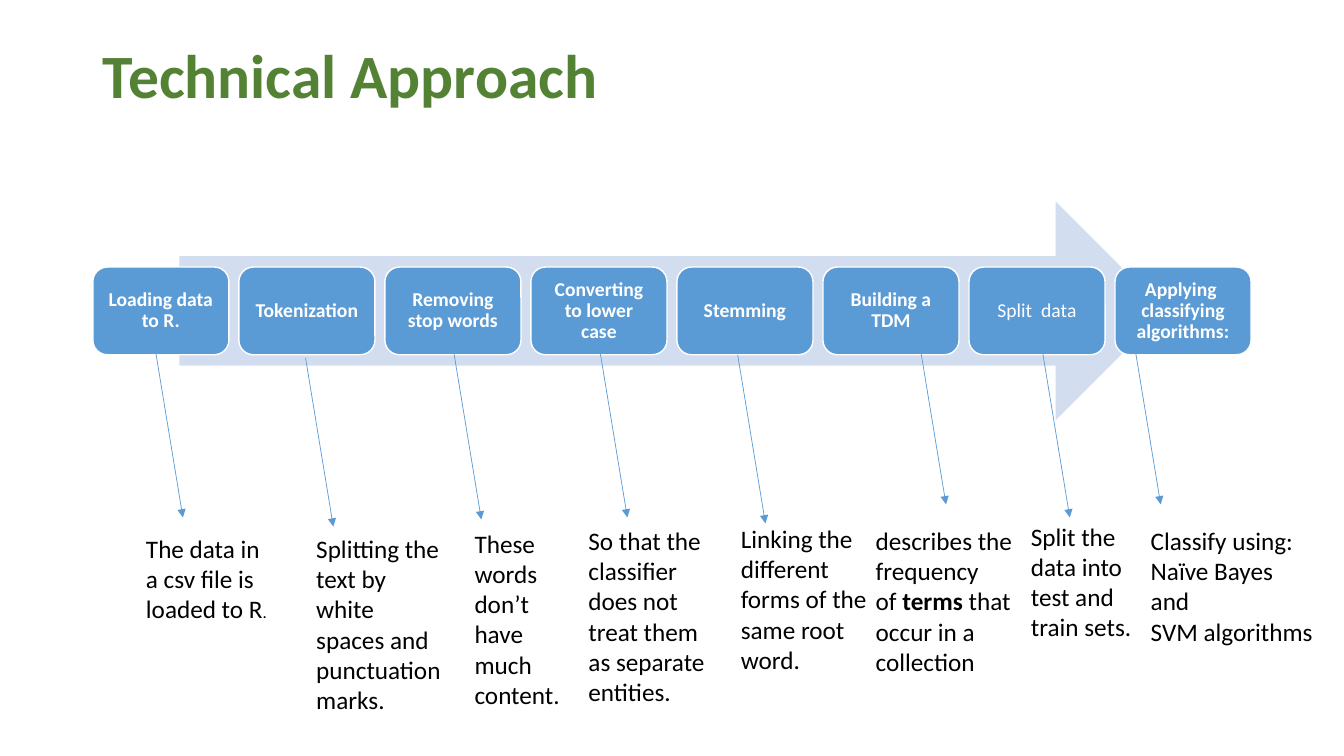
"""Build the Technical Approach slide: a text-classification pipeline with a note per step."""
from dataclasses import dataclass

from lxml import etree
from pptx import Presentation
from pptx.dml.color import RGBColor
from pptx.enum.shapes import MSO_CONNECTOR, MSO_SHAPE
from pptx.enum.text import MSO_ANCHOR, MSO_AUTO_SIZE, PP_ALIGN
from pptx.oxml.ns import qn
from pptx.slide import Slide
from pptx.util import Cm, Pt

ROUNDED = MSO_SHAPE.ROUNDED_RECTANGLE
RIGHT_ARROW = MSO_SHAPE.RIGHT_ARROW
STRAIGHT = MSO_CONNECTOR.STRAIGHT
TOP, MIDDLE = MSO_ANCHOR.TOP, MSO_ANCHOR.MIDDLE
LEFT, CENTER = PP_ALIGN.LEFT, PP_ALIGN.CENTER
FIXED, GROW = MSO_AUTO_SIZE.NONE, MSO_AUTO_SIZE.SHAPE_TO_FIT_TEXT


@dataclass(frozen=True)
class Theme:
    font: str = "Calibri"
    title: RGBColor = RGBColor(0x54, 0x82, 0x35)
    step: RGBColor = RGBColor(0x5B, 0x9B, 0xD5)
    band: RGBColor = RGBColor(0xD2, 0xDE, 0xEF)
    light: RGBColor = RGBColor(0xFF, 0xFF, 0xFF)
    note: RGBColor = RGBColor(0, 0, 0)
    title_size: Pt = Pt(44)
    step_size: Pt = Pt(14)
    note_size: Pt = Pt(18)
    small_size: Pt = Pt(12)


@dataclass(frozen=True)
class Span:
    text: str
    bold: bool = False
    small: bool = False


@dataclass(frozen=True)
class Note:
    left: float
    top: float
    width: float
    lines: int
    paragraphs: tuple[tuple[Span, ...], ...]


@dataclass(frozen=True)
class Step:
    label: str
    pointer_x: float
    pointer_y: float
    note: Note
    bold: bool = True


THEME = Theme()
STEP_LEFT, STEP_TOP, STEP_PITCH = 2.34, 6.73, 3.68
STEP_WIDTH, STEP_HEIGHT, STEP_INSET = 3.43, 2.21, 0.25
POINTER_DX, POINTER_DY = 0.7, 4.25
NOTE_LINE, NOTE_PADDING = 0.77, 0.26

STEPS = (
    Step("Loading data to R.", 3.91, 8.79, Note(3.43, 13.31, 3.71, 3, (
        (Span("The data in a csv file is loaded to R"), Span(".", small=True)),))),
    Step("Tokenization", 7.7, 9.02, Note(7.72, 13.31, 3.68, 6, (
        (Span("Splitting the text by white spaces and punctuation marks."),),))),
    Step("Removing stop words", 11.43, 8.84, Note(11.71, 13.18, 3.1, 6, (
        (Span("These words don’t have much content."),),))),
    Step("Converting to lower case", 15.11, 8.79, Note(14.58, 13.11, 3.66, 6, (
        (Span("So that the classifier does not treat them as separate entities."),),))),
    Step("Stemming", 18.59, 8.94, Note(18.42, 13.06, 3.86, 5, (
        (Span("Linking the different forms of the same root word."),),))),
    Step("Building a TDM", 23.14, 8.46, Note(21.82, 13.11, 4.04, 5, (
        (Span("describes the frequency of\u00a0"), Span("terms", bold=True),
         Span("\u00a0that occur in a collection")),))),
    Step("Split  data", 26.26, 8.79, Note(25.73, 13.0, 3.68, 4, (
        (Span("Split the data into test and train sets."),),)), bold=False),
    Step("Applying  classifying algorithms:", 28.55, 8.46, Note(28.75, 13.11, 4.62, 4, (
        (Span("Classify using:"),),
        (Span("Naïve Bayes and"),),
        (Span("SVM algorithms"),)))),
)


def style_font(font, size: Pt, color: RGBColor, bold: bool = False) -> None:
    font.name, font.size, font.bold = THEME.font, size, bold
    font.color.rgb = color


def add_title(slide: Slide, text: str) -> None:
    title = slide.shapes.title
    title.left, title.top, title.width, title.height = Cm(2.34), Cm(1.02), Cm(27.61), Cm(3.68)
    frame = title.text_frame
    frame.text = text
    frame.auto_size, frame.vertical_anchor = FIXED, TOP
    heading = frame.paragraphs[0]
    heading.alignment, heading.line_spacing = LEFT, 0.9
    style_font(heading.font, THEME.title_size, THEME.title, True)


def add_band(slide: Slide) -> None:
    band = slide.shapes.add_shape(RIGHT_ARROW, Cm(4.52), Cm(5.08), Cm(24.84), Cm(5.51))
    band.shadow.inherit = False
    band.fill.solid()
    band.fill.fore_color.rgb = THEME.band
    band.line.fill.background()


def add_step(slide: Slide, index: int, step: Step) -> None:
    box = slide.shapes.add_shape(ROUNDED, Cm(STEP_LEFT + index * STEP_PITCH), Cm(STEP_TOP),
                                 Cm(STEP_WIDTH), Cm(STEP_HEIGHT))
    box.shadow.inherit = False
    box.fill.solid()
    box.fill.fore_color.rgb = THEME.step
    box.line.color.rgb, box.line.width = THEME.light, Pt(1)
    frame = box.text_frame
    frame.text = step.label
    frame.word_wrap, frame.vertical_anchor = True, MIDDLE
    frame.margin_left = frame.margin_right = Cm(STEP_INSET)
    frame.margin_top = frame.margin_bottom = Cm(STEP_INSET)
    label = frame.paragraphs[0]
    label.alignment, label.line_spacing = CENTER, 0.9
    style_font(label.font, THEME.step_size, THEME.light, step.bold)


def add_pointer(slide: Slide, step: Step) -> None:
    pointer = slide.shapes.add_connector(
        STRAIGHT, Cm(step.pointer_x), Cm(step.pointer_y),
        Cm(step.pointer_x + POINTER_DX), Cm(step.pointer_y + POINTER_DY))
    pointer.line.color.rgb, pointer.line.width = THEME.step, Pt(0.5)
    etree.SubElement(pointer.line._get_or_add_ln(), qn("a:tailEnd"), type="triangle")
    etree.SubElement(pointer._element.spPr, qn("a:effectLst"))


def add_note(slide: Slide, note: Note) -> None:
    height = note.lines * NOTE_LINE + NOTE_PADDING
    box = slide.shapes.add_textbox(Cm(note.left), Cm(note.top), Cm(note.width), Cm(height))
    frame = box.text_frame
    frame.word_wrap, frame.auto_size = True, GROW
    for number, spans in enumerate(note.paragraphs):
        paragraph = frame.add_paragraph() if number else frame.paragraphs[0]
        style_font(paragraph.font, THEME.note_size, THEME.note)
        for span in spans:
            run = paragraph.add_run()
            run.text = span.text
            if span.bold:
                run.font.bold = True
            if span.small:
                run.font.size = THEME.small_size


def main() -> None:
    deck = Presentation()
    deck.slide_width, deck.slide_height = Cm(33.87), Cm(19.05)
    slide = deck.slides.add_slide(deck.slide_layouts.get_by_name("Title Only"))
    add_title(slide, "Technical Approach")
    add_band(slide)
    for index, step in enumerate(STEPS):
        add_step(slide, index, step)
    for step in STEPS:
        add_pointer(slide, step)
        add_note(slide, step.note)
    deck.save("out.pptx")


main()
